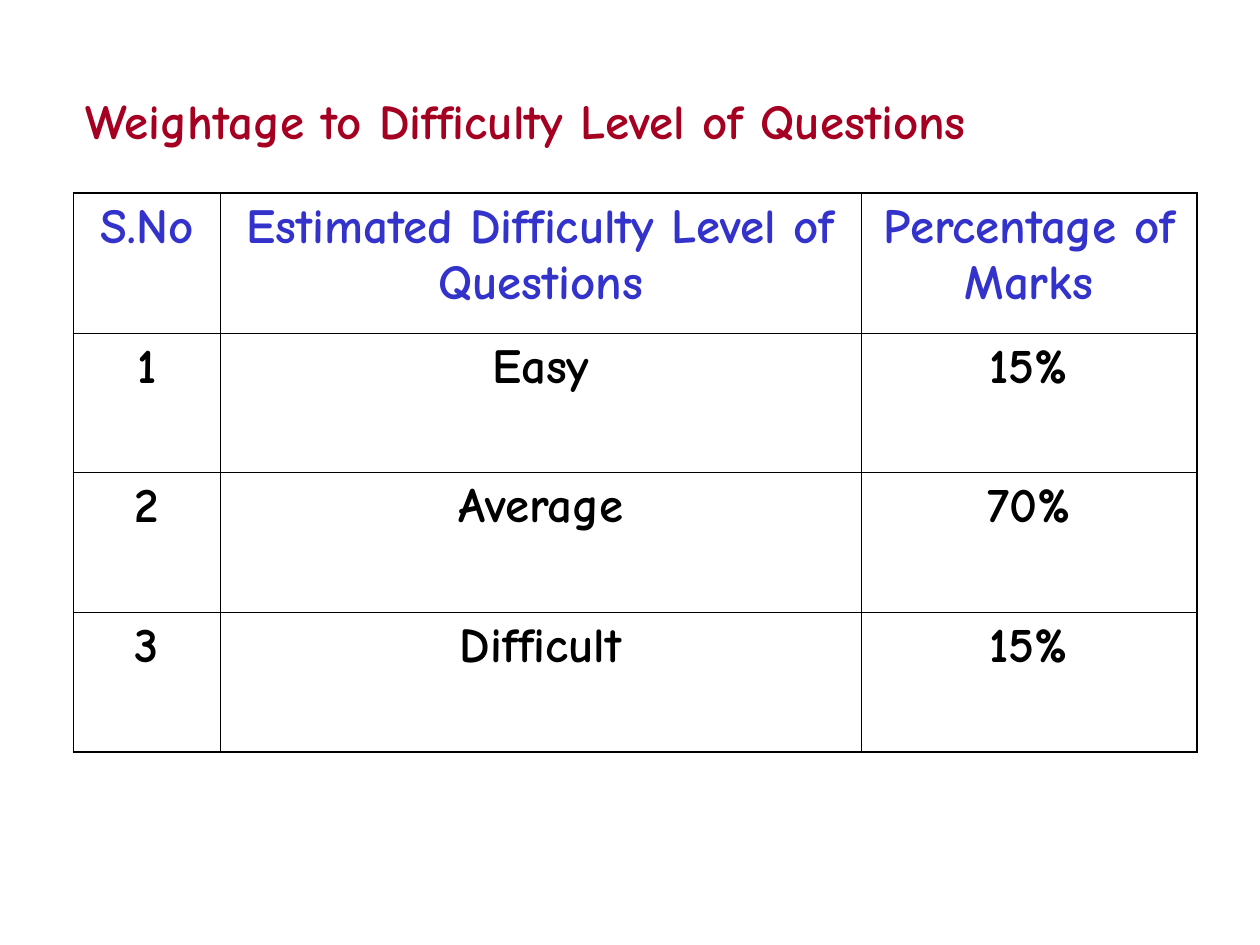
"""Build the slide on weightage to difficulty level of questions."""
from dataclasses import dataclass

from lxml.etree import SubElement
from pptx import Presentation
from pptx.dml.color import RGBColor as RGB
from pptx.enum.text import MSO_AUTO_SIZE as AUTO, PP_ALIGN as ALIGN
from pptx.oxml.ns import qn
from pptx.util import Pt

PX = 7620


@dataclass(frozen=True)
class Theme:
    font: str = "Comic Neue"
    size: int = 28
    title: str = "A50021"
    header: str = "3333CC"
    body: str = "000000"
    border: str = "000000"
    outer: float = 1.08
    inner: float = 0.45


class Deck:
    def __init__(self, theme, width, height):
        self.theme = theme
        self.prs = Presentation()
        self.prs.slide_width, self.prs.slide_height = width * PX, height * PX
        self.s = self.prs.slides.add_slide(self.prs.slide_layouts[6])

    def paragraph(self, tf, text, color, align):
        p = tf.paragraphs[0]
        p.alignment = align
        r = p.add_run()
        r.text = text
        fmt = {"name": self.theme.font, "size": Pt(self.theme.size), "bold": True}
        for key, value in fmt.items():
            setattr(r.font, key, value)
        r.font.color.rgb = RGB.from_string(color)

    def text(self, box, text, color):
        tf = self.s.shapes.add_textbox(*(v * PX for v in box)).text_frame
        for key, value in {"word_wrap": True, "auto_size": AUTO.SHAPE_TO_FIT_TEXT}.items():
            setattr(tf, key, value)
        self.paragraph(tf, text, color, ALIGN.LEFT)

    def borders(self, cell, outer_sides):
        tcPr = cell._tc.get_or_add_tcPr()
        for side, is_outer in outer_sides.items():
            width = self.theme.outer if is_outer else self.theme.inner
            ln = SubElement(tcPr, qn(f"a:ln{side}"), w=str(int(Pt(width))))
            fill = SubElement(ln, qn("a:solidFill"))
            SubElement(fill, qn("a:srgbClr"), val=self.theme.border)

    def table(self, left, top, widths, row_height, rows):
        last_row, last_col = len(rows) - 1, len(widths) - 1
        box = (left, top, sum(widths), row_height * len(rows))
        tbl = self.s.shapes.add_table(len(rows), len(widths), *(v * PX for v in box)).table
        for key in ("first_row", "horz_banding"):
            setattr(tbl, key, False)
        for col, width in zip(tbl.columns, widths):
            col.width = width * PX
        for i, row in enumerate(rows):
            tbl.rows[i].height = row_height * PX
            color = self.theme.body if i else self.theme.header
            for j, text in enumerate(row):
                cell = tbl.cell(i, j)
                self.paragraph(cell.text_frame, text, color, ALIGN.CENTER)
                self.borders(cell, {"L": j == 0, "R": j == last_col,
                                    "T": i == 0, "B": i == last_row})
                cell.fill.background()


def main():
    theme = Theme()
    deck = Deck(theme, 1200, 900)
    deck.text((70, 80, 1100, 68), "Weightage to Difficulty Level of Questions", theme.title)
    deck.table(70, 184, (140, 610, 320), 133, (
        ("S.No", "Estimated Difficulty Level of Questions", "Percentage of Marks"),
        ("1", "Easy", "15%"),
        ("2", "Average", "70%"),
        ("3", "Difficult", "15%"),
    ))
    deck.prs.save("out.pptx")


if __name__ == "__main__":
    main()
